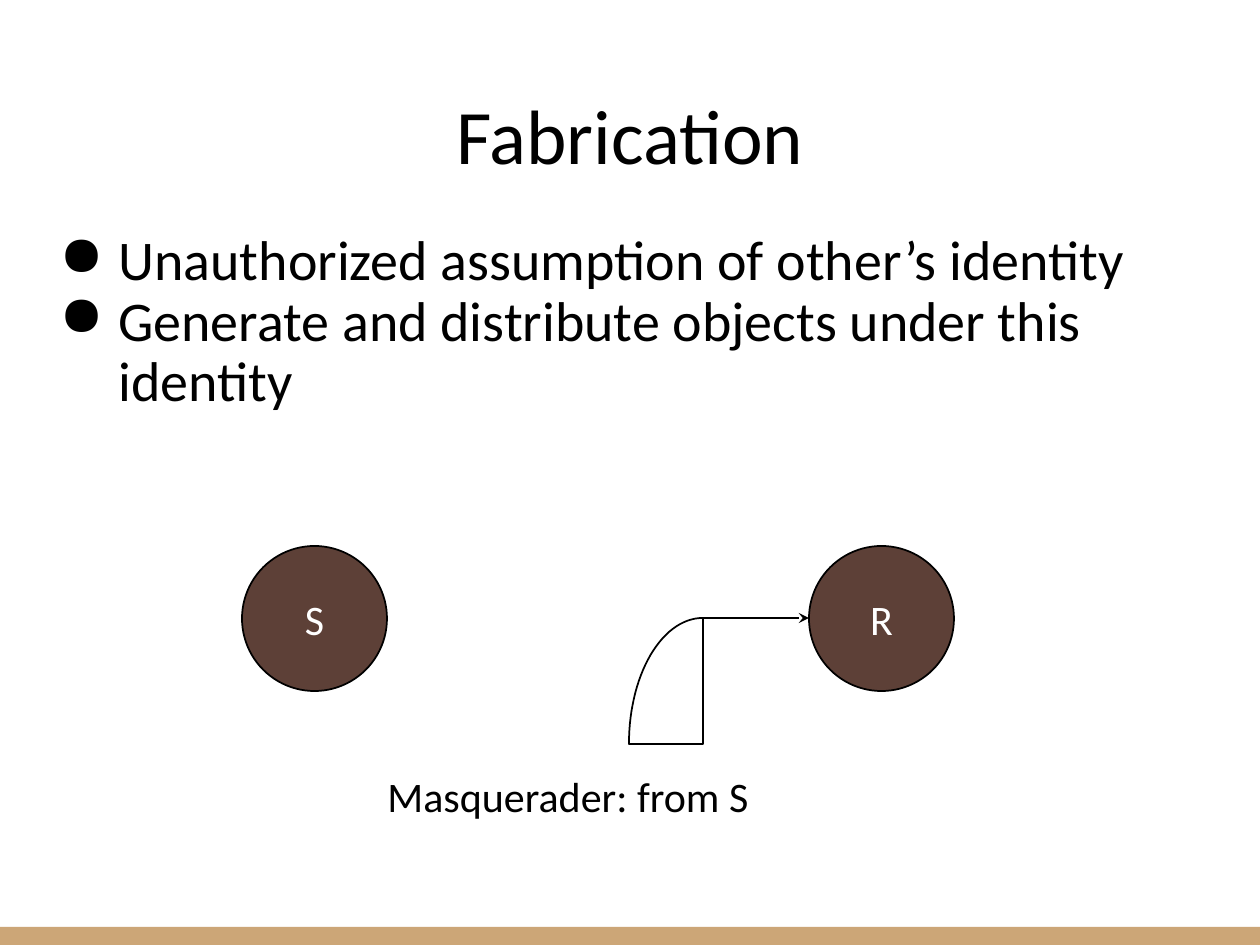
import math

from lxml import etree
from pptx import Presentation
from pptx.dml.color import RGBColor
from pptx.enum.shapes import MSO_CONNECTOR, MSO_SHAPE
from pptx.enum.text import MSO_ANCHOR, PP_ALIGN
from pptx.oxml.ns import qn
from pptx.util import Emu, Pt

CENTER, LEFT = PP_ALIGN.CENTER, PP_ALIGN.LEFT
MIDDLE, TOP = MSO_ANCHOR.MIDDLE, MSO_ANCHOR.TOP
OVAL, RECTANGLE = MSO_SHAPE.OVAL, MSO_SHAPE.RECTANGLE
STRAIGHT = MSO_CONNECTOR.STRAIGHT

EMU_PER_PX = 914400 / 126
COLORS = {"black": "000000", "white": "FFFFFF", "brown": "5D4037", "tan": "CCA677"}
FONT = "Calibri"

SLIDE_WIDTH, SLIDE_HEIGHT = 1260, 945
NODE_SIZE, NODE_TOP = 145, 546
NODE_LEFTS = {"S": 242, "R": 809}
ARROW_Y = NODE_TOP + NODE_SIZE // 2
QUADRANT_WIDTH, QUADRANT_HEIGHT = 74, 126
QUADRANT_RIGHT = 703


def px(value):
    return Emu(round(value * EMU_PER_PX))


def color(name):
    return RGBColor.from_string(COLORS[name])


def add_bullet(paragraph):
    properties = paragraph._p.get_or_add_pPr()
    properties.set("marL", str(px(63)))
    properties.set("indent", str(px(-59)))
    bullet_color = etree.SubElement(properties, qn("a:buClr"))
    etree.SubElement(bullet_color, qn("a:srgbClr"), val=COLORS["black"])
    etree.SubElement(properties, qn("a:buChar"), char="●")


def write_text(shape, *lines, size, font_color="black", align=LEFT, anchor=TOP,
               line_spacing=None, bullets=False, wrap=True):
    frame = shape.text_frame
    frame.word_wrap = wrap
    frame.vertical_anchor = anchor
    for index, line in enumerate(lines):
        paragraph = frame.paragraphs[0] if index == 0 else frame.add_paragraph()
        paragraph.text = line
        paragraph.alignment = align
        if bullets:
            add_bullet(paragraph)
        if line_spacing:
            paragraph.line_spacing = line_spacing
        paragraph.font.size = Pt(size)
        paragraph.font.name = FONT
        paragraph.font.color.rgb = color(font_color)


def add_title(slide, text):
    title = slide.shapes.title
    title.left, title.top, title.width, title.height = px(43), px(58), px(1174), px(152)
    write_text(title, text, size=44, align=CENTER, anchor=MIDDLE)


def add_text_box(slide, left, top, width, height, *lines, **text_format):
    box = slide.shapes.add_textbox(px(left), px(top), px(width), px(height))
    write_text(box, *lines, **text_format)


def style_outline(shape):
    shape.shadow.inherit = False
    shape.line.color.rgb = color("black")
    shape.line.width = Pt(1)


def add_footer_bar(slide):
    bar = slide.shapes.add_shape(RECTANGLE, 0, px(927), px(SLIDE_WIDTH), px(18))
    bar.shadow.inherit = False
    bar.fill.solid()
    bar.fill.fore_color.rgb = color("tan")
    bar.line.fill.background()


def add_node(slide, left, label):
    node = slide.shapes.add_shape(OVAL, px(left), px(NODE_TOP), px(NODE_SIZE), px(NODE_SIZE))
    style_outline(node)
    node.fill.solid()
    node.fill.fore_color.rgb = color("brown")
    write_text(node, label, size=24, font_color="white", align=CENTER, anchor=MIDDLE)


def add_arrow(slide, start_x, end_x, y):
    arrow = slide.shapes.add_connector(STRAIGHT, px(start_x), px(y), px(end_x), px(y))
    arrow.line.color.rgb = color("black")
    arrow.line.width = Pt(1)
    etree.SubElement(arrow.line._get_or_add_ln(), qn("a:tailEnd"), type="stealth")
    etree.SubElement(arrow._element.spPr, qn("a:effectLst"))


def add_quadrant(slide, right, top, width, height, steps=30):
    """Outline the upper-left quarter of an ellipse centred at its lower right corner."""
    bottom = top + height
    angles = [math.pi / 2 * step / steps for step in range(1, steps + 1)]
    arc = [(px(right - width * math.cos(angle)), px(bottom - height * math.sin(angle)))
           for angle in angles]
    builder = slide.shapes.build_freeform(px(right - width), px(bottom))
    builder.add_line_segments(arc + [(px(right), px(bottom))], close=True)
    quadrant = builder.convert_to_shape()
    style_outline(quadrant)
    quadrant.fill.background()


def main():
    presentation = Presentation()
    presentation.slide_width = px(SLIDE_WIDTH)
    presentation.slide_height = px(SLIDE_HEIGHT)
    slide = presentation.slides.add_slide(presentation.slide_layouts[5])

    add_footer_bar(slide)
    add_title(slide, "Fabrication")
    add_text_box(slide, 43, 226, 1174, 616,
                 "Unauthorized assumption of other’s identity",
                 "Generate and distribute objects under this identity",
                 size=32, line_spacing=0.9, bullets=True)
    for label, left in NODE_LEFTS.items():
        add_node(slide, left, label)
    add_text_box(slide, 375, 764, 433, 64, "Masquerader: from S", size=24, wrap=False)
    add_arrow(slide, QUADRANT_RIGHT, NODE_LEFTS["R"], ARROW_Y)
    add_quadrant(slide, QUADRANT_RIGHT, ARROW_Y, QUADRANT_WIDTH, QUADRANT_HEIGHT)
    presentation.save("out.pptx")


if __name__ == "__main__":
    main()
